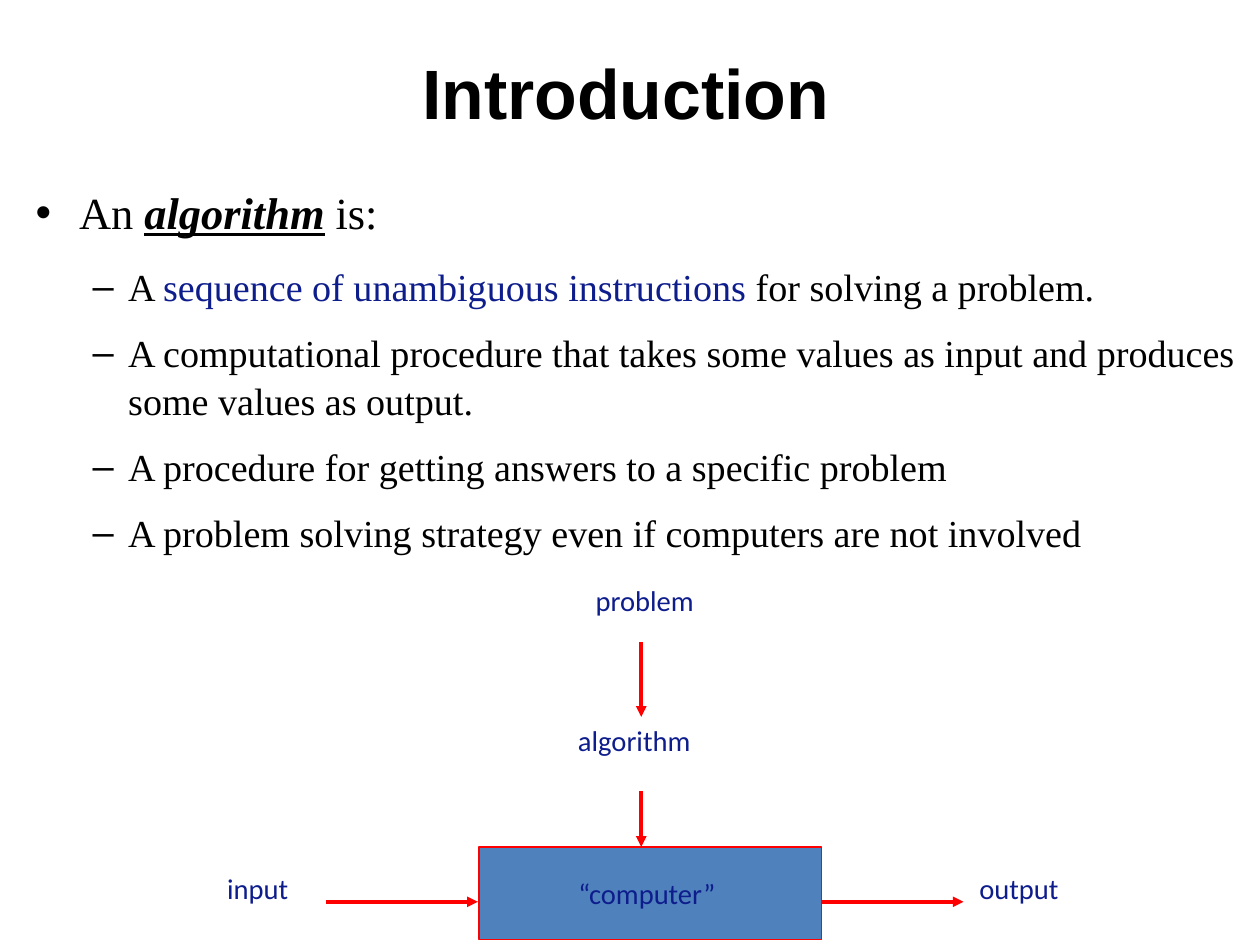
from lxml import etree
from pptx import Presentation
from pptx.dml.color import RGBColor
from pptx.enum.shapes import MSO_CONNECTOR as CONNECTOR, MSO_SHAPE as SHAPE
from pptx.enum.text import MSO_ANCHOR as ANCHOR, PP_ALIGN as ALIGN
from pptx.oxml.ns import qn
from pptx.util import Cm, Pt

BLACK, NAVY, RED, BLUE = "000000", "0E1D8C", "FF0000", "4F81BD"
TITLE = "Introduction"
BULLETS = [
    (0, [("An ", ""), ("algorithm", "strong"), (" is:", "")]),
    (1, [("A ", ""), ("sequence of unambiguous instructions", "navy"),
         (" for solving a problem.", "")]),
    (1, [("A computational procedure that takes some values as input "
          "and produces some values as output.", "")]),
    (1, [("A procedure for getting answers to a specific problem", "")]),
    (1, [("A problem solving strategy even if computers are not involved", "")]),
]
LEVELS = [
    {"size": 28, "after": 14.1, "left": 0.97, "hang": 0.97, "bullet": "•"},
    {"size": 24, "after": 11.4, "left": 2.06, "hang": 0.79, "bullet": "–"},
]
COMPUTER = ("“computer” ", 10.64, 18.82, 7.62, 2.06)
LABEL_HEIGHT = 0.99
LABELS = [
    ("problem", 12.55, 12.83, 3.56),
    ("algorithm", 12.52, 15.93, 3.15),
    ("input", 4.06, 19.23, 3.33),
    ("output", 20.98, 19.23, 3.33),
]
FLOW_X, FLOW_Y = 14.25, 20.04
ARROWS = [
    (FLOW_X, 14.27, FLOW_X, 15.93),
    (FLOW_X, 17.58, FLOW_X, 18.82),
    (7.24, FLOW_Y, 10.62, FLOW_Y),
    (18.24, FLOW_Y, 21.41, FLOW_Y),
]


def color(value):
    return RGBColor.from_string(value)


def style(font, name, size, value):
    font.name, font.size = name, Pt(size)
    font.color.rgb = color(value)


def add_box(slide, left, top, width, height, inset=True):
    box = slide.shapes.add_textbox(Cm(left), Cm(top), Cm(width), Cm(height))
    frame = box.text_frame
    frame.word_wrap = True
    if not inset:
        frame.margin_left = frame.margin_right = 0
        frame.margin_top = frame.margin_bottom = 0
    return frame


def write_centered(frame, text, name, size, value):
    paragraph = frame.paragraphs[0]
    paragraph.text = text
    paragraph.alignment = ALIGN.CENTER
    style(paragraph.font, name, size, value)
    return paragraph


def add_title(slide):
    frame = add_box(slide, 0.81, 1.07, 26.21, 1.93, inset=False)
    frame.vertical_anchor = ANCHOR.MIDDLE
    write_centered(frame, TITLE, "Arial", 44, BLACK).font.bold = True


def add_bullets(slide):
    frame = add_box(slide, 0.79, 4.06, 27.23, 12.19, inset=False)
    for index, (level, runs) in enumerate(BULLETS):
        paragraph = frame.add_paragraph() if index else frame.paragraphs[0]
        look = LEVELS[level]
        paragraph.level = level
        paragraph.line_spacing = 1.05
        paragraph.space_after = Pt(look["after"])
        properties = paragraph._p.get_or_add_pPr()
        properties.set("marL", str(Cm(look["left"])))
        properties.set("indent", str(-Cm(look["hang"])))
        etree.SubElement(properties, qn("a:buFont")).set("typeface", "Arial")
        etree.SubElement(properties, qn("a:buChar")).set("char", look["bullet"])
        for text, emphasis in runs:
            run = paragraph.add_run()
            run.text = text
            style(run.font, "Times New Roman", look["size"],
                  NAVY if emphasis == "navy" else BLACK)
            if emphasis == "strong":
                run.font.bold = run.font.italic = run.font.underline = True


def add_computer(slide):
    text, *place = COMPUTER
    shape = slide.shapes.add_shape(SHAPE.RECTANGLE, *map(Cm, place))
    shape.shadow.inherit = False
    shape.fill.solid()
    shape.fill.fore_color.rgb = color(BLUE)
    shape.line.color.rgb = color(RED)
    shape.line.width = Pt(1)
    shape.text_frame.word_wrap = False
    shape.text_frame.vertical_anchor = ANCHOR.MIDDLE
    write_centered(shape.text_frame, text, "Calibri", 18, NAVY)


def add_arrow(slide, *ends):
    arrow = slide.shapes.add_connector(CONNECTOR.STRAIGHT, *map(Cm, ends))
    arrow.line.color.rgb = color(RED)
    arrow.line.width = Pt(2.25)
    line = arrow.line._get_or_add_ln()
    etree.SubElement(line, qn("a:tailEnd")).set("type", "triangle")
    etree.SubElement(arrow._element.spPr, qn("a:effectLst"))


def main():
    presentation = Presentation()
    presentation.slide_width, presentation.slide_height = Cm(28), Cm(21)
    slide = presentation.slides.add_slide(presentation.slide_layouts[6])
    add_title(slide)
    add_bullets(slide)
    add_computer(slide)
    for text, left, top, width in LABELS:
        frame = add_box(slide, left, top, width, LABEL_HEIGHT)
        write_centered(frame, text, "Calibri", 18, NAVY)
    for ends in ARROWS:
        add_arrow(slide, *ends)
    presentation.save("out.pptx")


if __name__ == "__main__":
    main()
